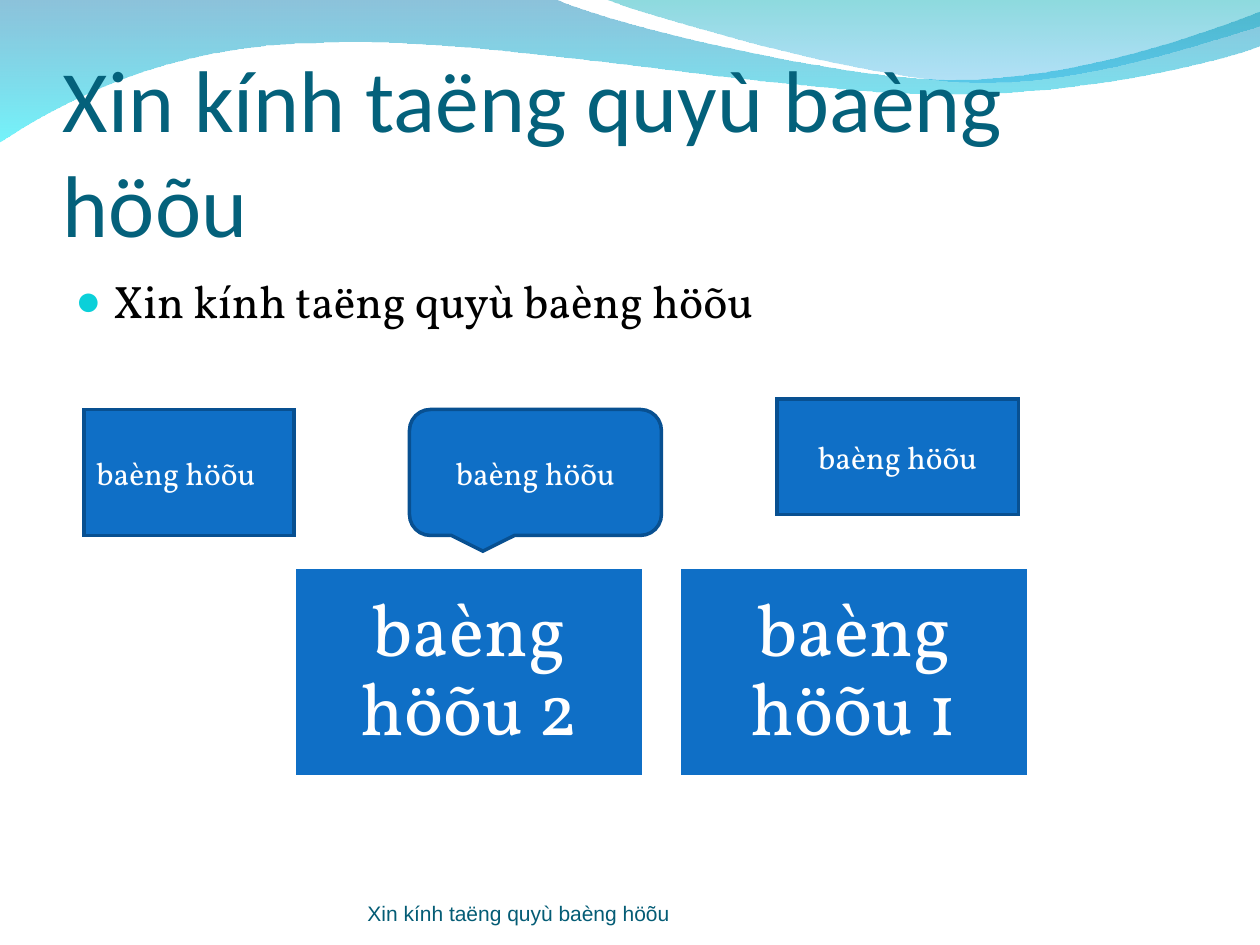
"""Build a greeting slide with a wave banner, callouts and two large boxes."""
import lxml.etree
import pptx
import pptx.dml.color
import pptx.enum.shapes
import pptx.enum.text
import pptx.oxml.ns
import pptx.util

Pt = pptx.util.Pt
RGBColor = pptx.dml.color.RGBColor
Shape = pptx.enum.shapes.MSO_SHAPE
Align = pptx.enum.text.PP_ALIGN
Anchor = pptx.enum.text.MSO_ANCHOR
qn = pptx.oxml.ns.qn

TITLE_TEAL = RGBColor(0x04, 0x61, 0x7B)
FOOTER_TEAL = RGBColor(0x04, 0x5C, 0x75)
BULLET_CYAN = RGBColor(0x0B, 0xD0, 0xD9)
BOX_BLUE = RGBColor(0x0F, 0x6F, 0xC6)
EDGE_BLUE = RGBColor(0x08, 0x50, 0x91)
WAVE_NAVY = RGBColor(0x00, 0x79, 0xAF)
WAVE_AQUA = RGBColor(0x00, 0xEB, 0xF8)
WAVE_TEAL = RGBColor(0x00, 0xAD, 0xB6)
WAVE_SKY = RGBColor(0x00, 0x9B, 0xE5)
BLACK = RGBColor(0, 0, 0)
WHITE = RGBColor(255, 255, 255)

GREETING = "Xin kính taëng quyù baèng höõu"
FRIENDS = "baèng höõu"
SMALL_BOXES = [
    (Shape.FLOWCHART_PROCESS, (48, 234, 120, 72), Align.LEFT),
    (Shape.ROUNDED_RECTANGULAR_CALLOUT, (234, 234, 144, 72), Align.CENTER),
    (Shape.RECTANGLE, (444, 228, 138, 66), Align.CENTER),
]
LARGE_BOXES = [FRIENDS + " 2", FRIENDS + " 1"]
LARGE_LEFT, LARGE_TOP, LARGE_WIDTH, LARGE_HEIGHT = 168.1, 324, 200, 120
LARGE_STEP = LARGE_WIDTH * 1.1

# Each step holds one point for a line or three points for a curve.
WAVES = [
    {
        "start": (0, -0.7),
        "steps": [
            [(316.8, -0.7)],
            [(342.7, 12.2), (478.1, 45.4), (545.8, 45.4)],
            [(614.2, 45.4), (689.8, 18.7), (720, 6.5)],
            [(720.7, 25.9)],
            [(707.8, 31.7), (626.4, 54.7), (537.1, 54)],
            [(447.8, 54), (275, 20.2), (185, 24.5)],
            [(92.9, 25.2), (33.1, 59.8), (-0.7, 81.4)],
        ],
        "stops": [(WAVE_NAVY, 45), (WAVE_AQUA, 55)],
    },
    {
        "start": (344.9, -0.7),
        "steps": [
            [(366.5, 7.9), (491, 44.6), (553.7, 46.8)],
            [(616.3, 49.7), (691.9, 23), (720, 15.1)],
            [(720, 0)],
        ],
        "stops": [(WAVE_TEAL, 45), (WAVE_SKY, 30)],
    },
]


def bend(wave, steps):
    """Merge each run of three straight segments into one cubic curve."""
    outline = wave.element.spPr.find(".//" + qn("a:path"))
    lines = iter(outline.findall(qn("a:lnTo")))
    for step in steps:
        first, *others = [next(lines) for _ in step]
        if others:
            first.tag = qn("a:cubicBezTo")
        for line in others:
            first.append(line[0])
            outline.remove(line)


def add_wave(page, start, steps, stops):
    """Draw a translucent wave that fades from top to bottom."""
    builder = page.shapes.build_freeform(Pt(start[0]), Pt(start[1]))
    points = [(Pt(x), Pt(y)) for step in steps for x, y in step]
    builder.add_line_segments(points, close=True)
    wave = builder.convert_to_shape()
    bend(wave, steps)
    wave.shadow.inherit = False
    wave.line.fill.background()
    wave.fill.gradient()
    wave.fill.gradient_angle = 270
    for position, (stop, (color, _)) in enumerate(zip(wave.fill.gradient_stops, stops)):
        stop.color.rgb = color
        stop.position = position
    tints = wave.element.spPr.findall(".//" + qn("a:gs") + "/" + qn("a:srgbClr"))
    for tint, (_, opacity) in zip(tints, stops):
        lxml.etree.SubElement(tint, qn("a:alpha"), val=str(opacity * 1000))


def add_box(page, kind, place, edge):
    """Add a blue shape with a sharp-cornered outline."""
    box = page.shapes.add_shape(kind, *map(Pt, place))
    box.shadow.inherit = False
    box.fill.solid()
    box.fill.fore_color.rgb = BOX_BLUE
    box.line.color.rgb = edge
    box.line.width = Pt(2)
    outline = box.element.spPr.find(qn("a:ln"))
    lxml.etree.SubElement(outline, qn("a:miter"), lim="800000")
    return box


def write(box, text, *, size, color, font="Vollkorn", align=Align.LEFT,
          anchor=Anchor.MIDDLE, insets=(7.2, 3.6, 7.2, 3.6)):
    """Put one formatted paragraph in a box and return it."""
    frame = box.text_frame
    frame.word_wrap = True
    frame.vertical_anchor = anchor
    frame.margin_left, frame.margin_top, frame.margin_right, frame.margin_bottom = map(Pt, insets)
    para = frame.paragraphs[0]
    para.alignment = align
    span = para.add_run()
    span.text = text
    span.font.size = Pt(size)
    span.font.name = font
    span.font.color.rgb = color
    return para


def add_bullet(para):
    """Give a paragraph a hanging round bullet."""
    para.space_before = Pt(6.5)
    layout = para._p.get_or_add_pPr()
    layout.set("marL", str(Pt(21.6)))
    layout.set("indent", str(-Pt(21.6)))
    tint = lxml.etree.SubElement(layout, qn("a:buClr"))
    lxml.etree.SubElement(tint, qn("a:srgbClr"), val=str(BULLET_CYAN))
    lxml.etree.SubElement(layout, qn("a:buSzPct"), val="95000")
    lxml.etree.SubElement(layout, qn("a:buFont"), typeface="Arial")
    lxml.etree.SubElement(layout, qn("a:buChar"), char="●")


def main():
    """Build and save the deck."""
    deck = pptx.Presentation()
    deck.slide_width, deck.slide_height = Pt(720), Pt(540)
    page = deck.slides.add_slide(deck.slide_layouts[6])

    for wave in WAVES:
        add_wave(page, **wave)

    title = page.shapes.add_textbox(Pt(36), Pt(55.5), Pt(648), Pt(90))
    write(title, GREETING, size=50, color=TITLE_TEAL, font="Calibri",
          anchor=Anchor.BOTTOM, insets=(0, 3.6, 0, 0))
    body = page.shapes.add_textbox(Pt(36), Pt(152.5), Pt(648), Pt(345.5))
    add_bullet(write(body, GREETING, size=26, color=BLACK, anchor=Anchor.TOP))
    footer = page.shapes.add_textbox(Pt(210), Pt(500.2), Pt(264), Pt(28.8))
    write(footer, GREETING, size=12, color=FOOTER_TEAL, font="Arial",
          anchor=Anchor.BOTTOM, insets=(0, 0, 0, 0))

    for kind, place, align in SMALL_BOXES:
        box = add_box(page, kind, place, EDGE_BLUE)
        write(box, FRIENDS, size=18, color=WHITE, align=align)

    for index, text in enumerate(LARGE_BOXES):
        place = (LARGE_LEFT + index * LARGE_STEP, LARGE_TOP, LARGE_WIDTH, LARGE_HEIGHT)
        box = add_box(page, Shape.RECTANGLE, place, WHITE)
        para = write(box, text, size=42, color=WHITE, align=Align.CENTER, insets=(13,) * 4)
        para.line_spacing = 0.9
        para.space_after = Pt(18.4)

    deck.save("out.pptx")


if __name__ == "__main__":
    main()
